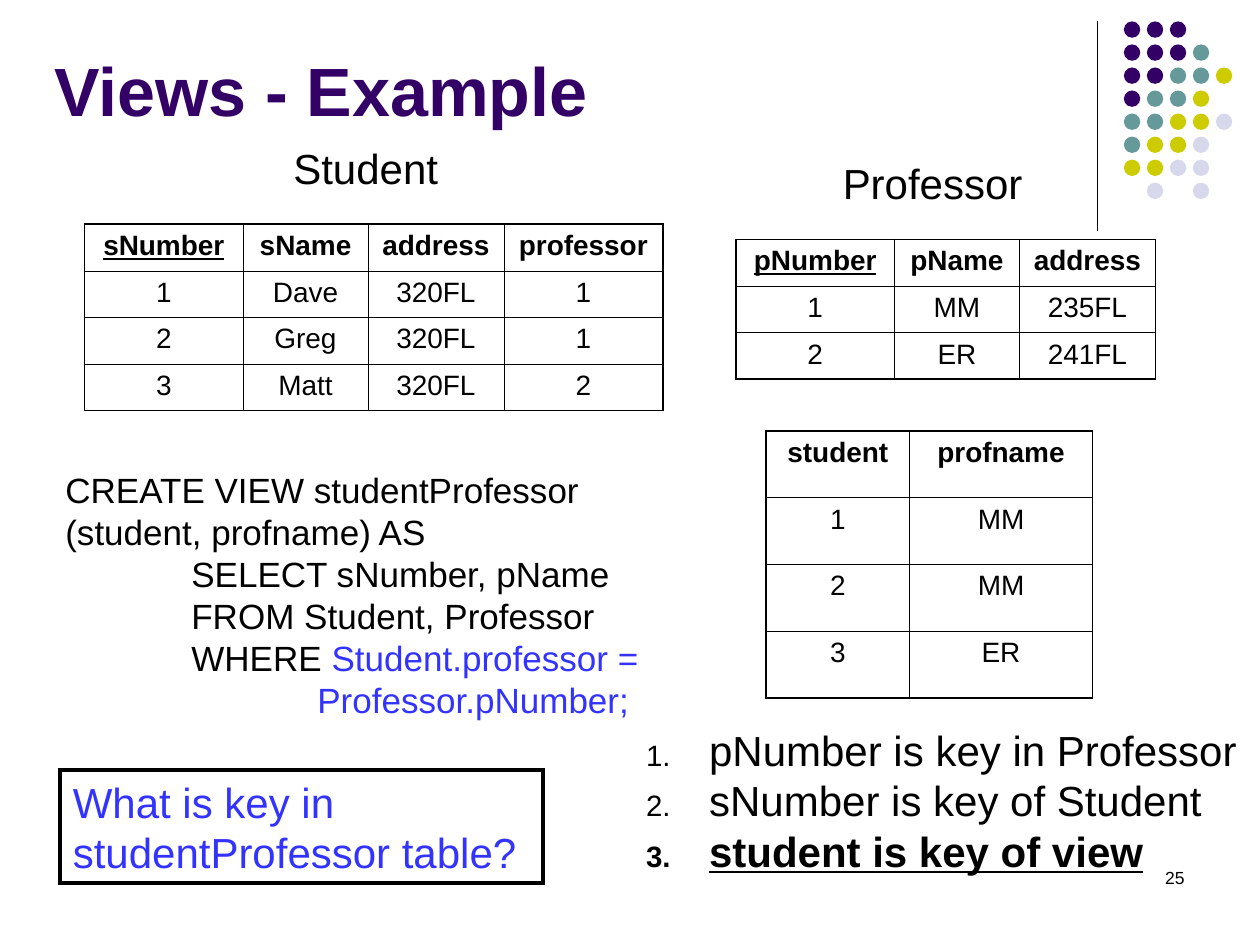
"""Build the slide showing a view over the Student and Professor tables."""
import pptx
import pptx.dml.color
import pptx.enum.shapes
import pptx.enum.text
import pptx.oxml
import pptx.oxml.ns
import pptx.util
from lxml import etree

Inches = pptx.util.Inches
Pt = pptx.util.Pt
MIDDLE = pptx.enum.text.PP_ALIGN.CENTER
COLORS = {
    "black": "000000",
    "purple": "330066",
    "teal": "669999",
    "lime": "CCCC00",
    "lilac": "D8D8EC",
    "blue": "3333FF",
}


def add_span(para, text, size, color="black", bold=False, underline=False):
    span = para.add_run()
    span.text = text
    span.font.name = "Arial"
    span.font.size = Pt(size)
    span.font.bold = bold
    span.font.underline = underline
    span.font.color.rgb = pptx.dml.color.RGBColor.from_string(COLORS[color])


def add_box(left, top, width, height):
    box = page.shapes.add_textbox(Inches(left), Inches(top), Inches(width), Inches(height))
    box.text_frame.word_wrap = True
    return box.text_frame


deck = pptx.Presentation()
deck.slide_width = Inches(10)
deck.slide_height = Inches(7.5)
page = deck.slides.add_slide(deck.slide_layouts[5])

divider = page.shapes.add_connector(
    pptx.enum.shapes.MSO_CONNECTOR.STRAIGHT, Inches(8.71), Inches(0.17), Inches(8.71), Inches(1.83)
)
divider.line.width = Pt(0.75)
divider.line.color.rgb = pptx.dml.color.RGBColor.from_string(COLORS["black"])
etree.SubElement(divider._element.spPr, pptx.oxml.ns.qn("a:effectLst"))

dot_colors = {"P": "purple", "T": "teal", "Y": "lime", "L": "lilac"}
dot_rows = ["PPP", "PPPT", "PPTTY", "PTTY", "TTYYL", "TYYL", "YYLL", ".L.L"]
for row, letters in enumerate(dot_rows):
    for column, letter in enumerate(letters):
        if letter == ".":
            continue
        dot = page.shapes.add_shape(
            pptx.enum.shapes.MSO_SHAPE.OVAL,
            Inches(8.92 + column * 0.73 / 4), Inches(0.17 + row * 1.28 / 7),
            Inches(0.13), Inches(0.13),
        )
        dot.shadow.inherit = False
        dot.fill.solid()
        dot.fill.fore_color.rgb = pptx.dml.color.RGBColor.from_string(COLORS[dot_colors[letter]])
        dot.line.fill.background()

title = page.shapes.title
title.left, title.top = Inches(0.33), Inches(0.25)
title.width, title.height = Inches(8.25), Inches(0.83)
title.text_frame.auto_size = pptx.enum.text.MSO_AUTO_SIZE.NONE
title.text_frame.vertical_anchor = pptx.enum.text.MSO_ANCHOR.BOTTOM
title.text_frame.paragraphs[0].alignment = pptx.enum.text.PP_ALIGN.LEFT
add_span(title.text_frame.paragraphs[0], "Views - Example", 39, "purple", bold=True)

tables = [
    (0.67, 1.78, 0.37, [1.26, 0.99, 1.08, 1.26], [
        ["sNumber", "sName", "address", "professor"],
        ["1", "Dave", "320FL", "1"],
        ["2", "Greg", "320FL", "1"],
        ["3", "Matt", "320FL", "2"],
    ]),
    (5.84, 1.9, 0.37, [1.26, 0.99, 1.08], [
        ["pNumber", "pName", "address"],
        ["1", "MM", "235FL"],
        ["2", "ER", "241FL"],
    ]),
    (6.08, 3.42, 0.53, [1.14, 1.45], [
        ["student", "profname"],
        ["1", "MM"],
        ["2", "MM"],
        ["3", "ER"],
    ]),
]
for left, top, row_height, widths, records in tables:
    last_row, last_column = len(records) - 1, len(widths) - 1
    grid = page.shapes.add_table(
        len(records), len(widths), Inches(left), Inches(top),
        Inches(sum(widths)), Inches(row_height * len(records)),
    ).table
    for column, width in enumerate(widths):
        grid.columns[column].width = Inches(width)
    for row, record in enumerate(records):
        grid.rows[row].height = Inches(row_height)
        for column, text in enumerate(record):
            cell = grid.cell(row, column)
            para = cell.text_frame.paragraphs[0]
            para.alignment = MIDDLE
            para.space_before = Pt(4)
            add_span(para, text, 16, bold=row == 0, underline=text in ("sNumber", "pNumber"))
            outer_sides = {
                "lnL": column == 0,
                "lnR": column == last_column,
                "lnT": row == 0,
                "lnB": row == last_row,
            }
            for side, outer in outer_sides.items():
                border = etree.SubElement(
                    cell._tc.get_or_add_tcPr(), pptx.oxml.ns.qn("a:" + side),
                    w=str(Pt(1.08 if outer else 0.45)),
                )
                fill = etree.SubElement(border, pptx.oxml.ns.qn("a:solidFill"))
                etree.SubElement(fill, pptx.oxml.ns.qn("a:srgbClr"), val=COLORS["black"])
            cell.fill.background()

for text, left, top, width in [("Student", 2.23, 1.08, 1.45), ("Professor", 6.59, 1.2, 1.75)]:
    add_span(add_box(left, top, width, 0.5).paragraphs[0], text, 24)

query = add_box(0.42, 3.67, 4.92, 2.1)
query_lines = [
    (0, 0, [("CREATE VIEW studentProfessor (student, profname) AS", "black")]),
    (1, 0, [("SELECT sNumber, pName", "black")]),
    (1, 0, [("FROM Student, Professor", "black")]),
    (2, -1, [("WHERE ", "black"), ("Student.professor = Professor.pNumber;", "blue")]),
]
for index, (margin, indent, spans) in enumerate(query_lines):
    para = query.add_paragraph() if index else query.paragraphs[0]
    properties = para._p.get_or_add_pPr()
    properties.set("marL", str(Inches(margin)))
    properties.set("indent", str(Inches(indent)))
    for text, color in spans:
        add_span(para, text, 20, color)

answers = add_box(5.03, 5.7, 4.97, 1.3)
answers.margin_right = Inches(0)
answer_lines = [
    ("pNumber is key in Professor", False),
    ("sNumber is key of Student", False),
    ("student is key of view", True),
]
for index, (text, strong) in enumerate(answer_lines):
    para = answers.add_paragraph() if index else answers.paragraphs[0]
    properties = para._p.get_or_add_pPr()
    properties.set("marL", str(Inches(0.5)))
    properties.set("indent", str(Inches(-0.5)))
    bullet_color = etree.SubElement(properties, pptx.oxml.ns.qn("a:buClr"))
    etree.SubElement(bullet_color, pptx.oxml.ns.qn("a:srgbClr"), val=COLORS["black"])
    etree.SubElement(properties, pptx.oxml.ns.qn("a:buSzPct"), val="70000")
    etree.SubElement(properties, pptx.oxml.ns.qn("a:buFont"), typeface="Arial")
    etree.SubElement(properties, pptx.oxml.ns.qn("a:buAutoNum"), type="arabicPeriod")
    add_span(para, text, 24, bold=strong, underline=strong)

page_number = add_box(7.17, 6.83, 2.33, 0.5).paragraphs[0]
page_number.alignment = pptx.enum.text.PP_ALIGN.RIGHT
add_span(page_number, "25", 10)

question = page.shapes.add_shape(
    pptx.enum.shapes.MSO_SHAPE.RECTANGLE, Inches(0.48), Inches(6.11), Inches(3.83), Inches(0.9)
)
question.shadow.inherit = False
question.fill.background()
question.line.width = Pt(2.25)
question.line.color.rgb = pptx.dml.color.RGBColor.from_string(COLORS["black"])
etree.SubElement(question._element.spPr.find(pptx.oxml.ns.qn("a:ln")), pptx.oxml.ns.qn("a:miter"), lim="800000")
question.text_frame.word_wrap = True
question.text_frame.vertical_anchor = pptx.enum.text.MSO_ANCHOR.TOP
for index, text in enumerate(["What is key in", "studentProfessor table?"]):
    para = question.text_frame.add_paragraph() if index else question.text_frame.paragraphs[0]
    para.alignment = pptx.enum.text.PP_ALIGN.LEFT
    add_span(para, text, 24, "blue")

deck.save("out.pptx")
